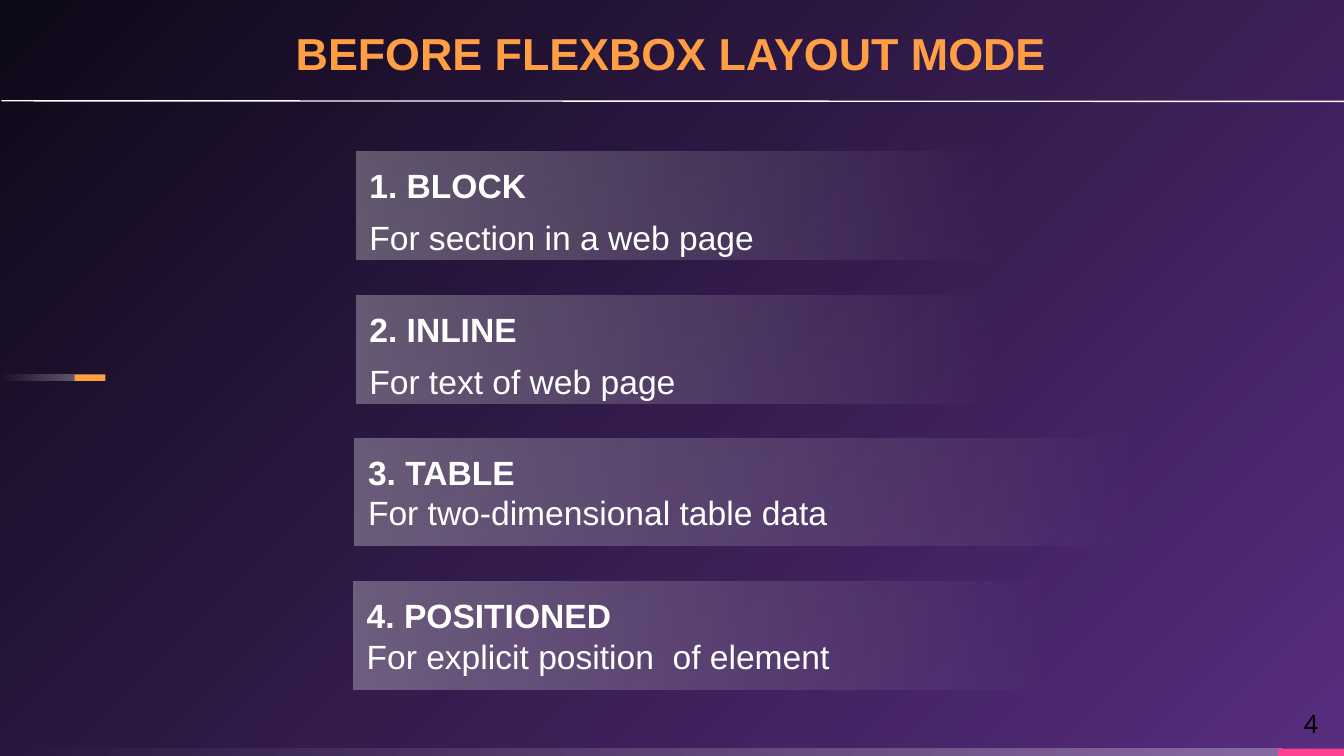
import pptx
import pptx.dml.color
import pptx.enum.shapes
import pptx.enum.text
import pptx.oxml
import pptx.oxml.ns
import pptx.util

SCALE = 4572  # EMU in one px, 200 px to the inch
WHITE, ORANGE, PINK, BLACK = "FFFFFF", "FF9E44", "FF4093", "000000"
FADE = [(0, WHITE, 30), (100, WHITE, 0)]
RECT = pptx.enum.shapes.MSO_SHAPE.RECTANGLE
ALIGN = pptx.enum.text.PP_ALIGN
ANCHOR = pptx.enum.text.MSO_ANCHOR

CARDS = [
    ((530, 226, 958, 160), "1. BLOCK", "For section in a web page", 6),
    ((530, 440, 958, 160), "2. INLINE", "For text of web page", 6),
    ((528, 652, 1164, 160), "3. TABLE", "For two-dimensional table data", 0),
    ((526, 866, 1042, 160), "4. POSITIONED", "For explicit position  of element", 0),
]


def px(*sizes):
    return [pptx.util.Emu(size * SCALE) for size in sizes]


def tint(code):
    return pptx.dml.color.RGBColor.from_string(code)


def apply(target, values):
    for name, value in values.items():
        setattr(target, name, value)


def blend(fill, root, stops, shade):
    """Make the fill a gradient of (position, colour, opacity) stops."""
    fill.gradient()
    old = root.find(".//" + pptx.oxml.ns.qn("a:gradFill"))
    marks = "".join(
        f'<a:gs pos="{pos * 1000}"><a:srgbClr val="{code}">'
        f'<a:alpha val="{alpha * 1000}"/></a:srgbClr></a:gs>'
        for pos, code, alpha in stops)
    new = pptx.oxml.parse_xml(
        f'<a:gradFill {pptx.oxml.ns.nsdecls("a")} rotWithShape="1">'
        f"<a:gsLst>{marks}</a:gsLst>{shade}</a:gradFill>")
    old.getparent().replace(old, new)


def bar(shapes, box, code=None, angle=0):
    """Add a plain rectangle, fading white when no colour is given."""
    shape = shapes.add_shape(RECT, *px(*box))
    shape.shadow.inherit = False
    shape.line.fill.background()
    if code:
        shape.fill.solid()
        shape.fill.fore_color.rgb = tint(code)
    else:
        blend(shape.fill, shape.element, FADE,
              f'<a:lin ang="{angle * 60000}" scaled="0"/>')
    return shape


def frame(shape, anchor, insets=(0, 0, 0, 0)):
    left, top, right, bottom = px(*insets)
    text = shape.text_frame
    apply(text, {"word_wrap": True, "vertical_anchor": anchor,
                 "auto_size": pptx.enum.text.MSO_AUTO_SIZE.NONE,
                 "margin_left": left, "margin_top": top,
                 "margin_right": right, "margin_bottom": bottom})
    return text


def write(para, words, size, code, bold=False, align=ALIGN.LEFT):
    para.alignment = align
    run = para.add_run()
    run.text = words
    apply(run.font, {"name": "Arial", "size": pptx.util.Pt(size), "bold": bold})
    run.font.color.rgb = tint(code)


def backdrop(slide):
    root = slide.element
    blend(slide.background.fill, root,
          [(0, "572D7E", 100), (100, "0E0918", 100)],
          '<a:path path="circle"><a:fillToRect l="100000" t="100000"/></a:path>')


def header(slide, box):
    left, top, width, height = box
    title = slide.shapes.title
    sizes = px(left + 440, top + 24, 1282, 96)
    apply(title, dict(zip(("left", "top", "width", "height"), sizes)))
    para = frame(title, ANCHOR.BOTTOM).paragraphs[0]
    para.line_spacing = 0.9
    write(para, "BEFORE FLEXBOX LAYOUT MODE", 24, ORANGE, True)

    rule = slide.shapes.add_connector(
        pptx.enum.shapes.MSO_CONNECTOR.STRAIGHT,
        *px(left + 2, top + height - 1, left + width, top + height))
    rule.line.width = pptx.util.Pt(0.75)
    rule.line.color.rgb = tint(WHITE)
    rule.element.spPr.append(pptx.oxml.parse_xml(
        f'<a:effectLst {pptx.oxml.ns.nsdecls("a")}/>'))


def marker(slide, box):
    left, top, width, height = box
    group = slide.shapes.add_group_shape()
    bar(group.shapes, (left, top, width - 46, height), angle=180)
    bar(group.shapes, (left + width - 46, top, 46, height), ORANGE)


def footer(slide, box):
    left, top, width, height = box
    tab = left + width - 98
    base = top + height - 11
    bar(slide.shapes, (left, base, width - 92, 11), angle=180)
    bar(slide.shapes, (tab, base, 98, 11), PINK)
    number = slide.shapes.add_textbox(*px(tab, top, 98, height - 11))
    para = frame(number, ANCHOR.MIDDLE).paragraphs[0]
    write(para, "4", 14, BLACK, align=ALIGN.CENTER)


def card(slide, box, name, note, gap):
    text = frame(bar(slide.shapes, box), ANCHOR.TOP, (20, 20, 300, 20))
    write(text.paragraphs[0], name, 18, WHITE, True)
    para = text.add_paragraph()
    space = pptx.util.Pt(gap)
    apply(para, {"space_before": space, "space_after": space})
    write(para, note, 18, WHITE)


def main():
    deck = pptx.Presentation()
    deck.slide_width, deck.slide_height = px(2000, 1125)
    slide = deck.slides.add_slide(deck.slide_layouts[5])
    backdrop(slide)
    footer(slide, (0, 1038, 2000, 87))
    marker(slide, (0, 557, 157, 10))
    header(slide, (0, 0, 2000, 151))
    for item in CARDS:
        card(slide, *item)
    deck.save("out.pptx")


if __name__ == "__main__":
    main()
